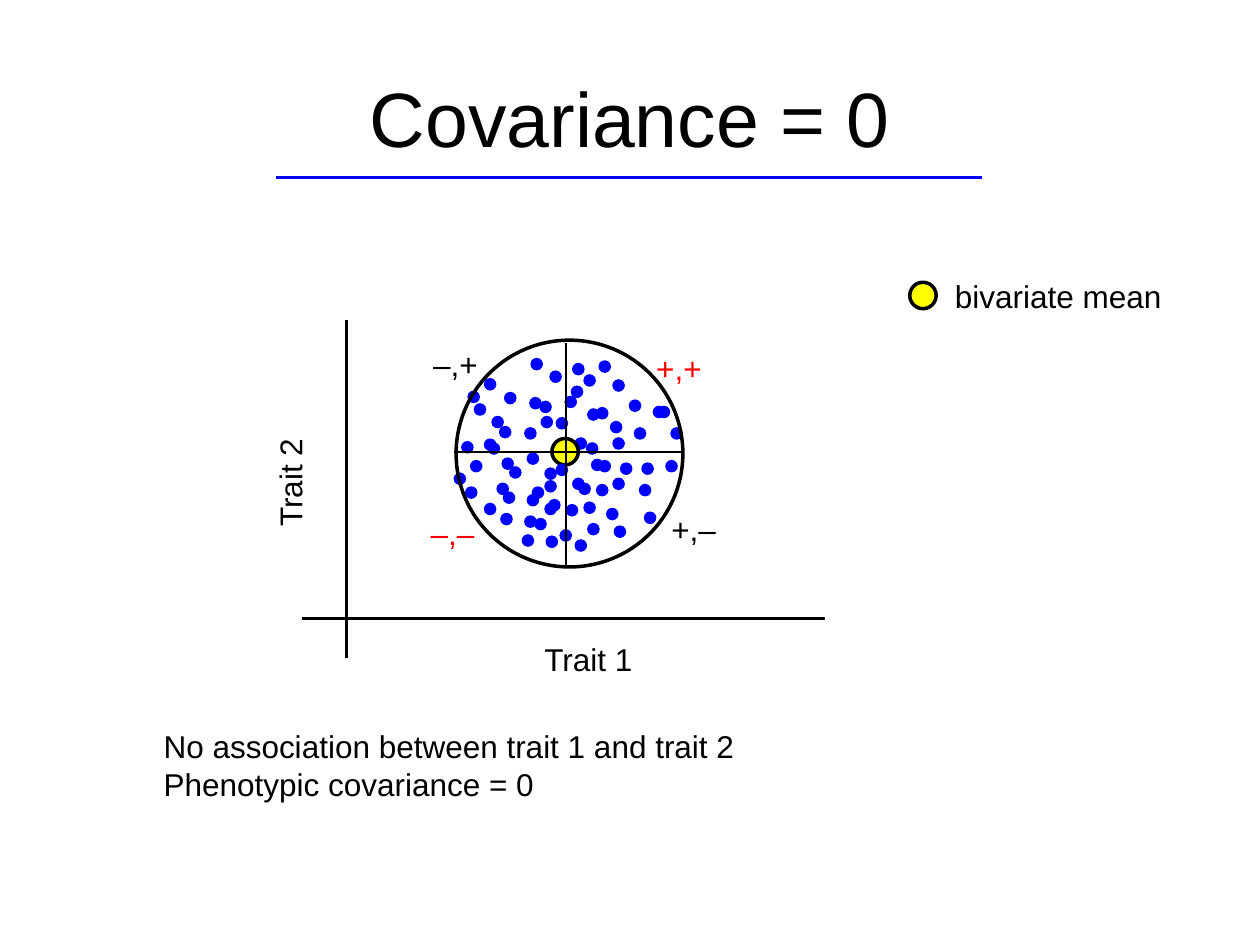
from lxml import etree
from pptx import Presentation
from pptx.dml.color import RGBColor
from pptx.enum.shapes import MSO_CONNECTOR, MSO_SHAPE
from pptx.enum.text import MSO_ANCHOR, MSO_AUTO_SIZE, PP_ALIGN
from pptx.oxml.ns import qn
from pptx.util import Inches, Pt

STRAIGHT = MSO_CONNECTOR.STRAIGHT
OVAL = MSO_SHAPE.OVAL
TOP, MIDDLE = MSO_ANCHOR.TOP, MSO_ANCHOR.MIDDLE
LEFT, CENTER = PP_ALIGN.LEFT, PP_ALIGN.CENTER
FIT_SHAPE = MSO_AUTO_SIZE.SHAPE_TO_FIT_TEXT

FONT = "Arial"
COLORS = {"ink": "000000", "data": "0000FF", "mean": "FFFF00", "positive": "FF0000"}

# The slide is a grid of 100 columns by 75 rows; every length counts its cells.
COLUMNS, ROWS = 100, 75
CELL = Inches(0.1)

DOT_SIZE, MEAN_SIZE, CLOUD_SIZE = 1, 2.1, 18
LABEL_HEIGHT = 4

# Column and row of each observation's top left corner
LOWER_DOTS = [  # under the mean marker
    (39.8, 36.3), (42.2, 38.6), (39.7, 40.7), (43.2, 39.9), (45.6, 34.7),
    (49.2, 36.7), (47.3, 38.4), (42.8, 31.8), (45.4, 28.8), (47.5, 36.5),
    (43.2, 37.1), (48.6, 30.1), (52.2, 32.2), (50.3, 33.9), (36, 37.5),
    (38.4, 39.9), (36.9, 38.6), (41.4, 42.4), (41.8, 35.9), (45.4, 37.9),
    (43.5, 39.6), (39, 33), (43.3, 42.5), (51.1, 40.6), (39.4, 38.3),
    (44.8, 31.4), (48.4, 33.4), (46.5, 35.1), (47.3, 32.3), (46.6, 32.4),
    (48.7, 41.7), (53.2, 33.9), (51.8, 32.2), (46.3, 29.7), (49.9, 31.7),
    (48.6, 34.7),
]
UPPER_DOTS = [  # over the mean marker
    (42, 31.5), (39.6, 33.8), (37.6, 32), (38.4, 34.8), (47.5, 28.6),
    (41.6, 40.9), (39.9, 39), (42.1, 28.4), (44.1, 36.8), (41.8, 39.2),
    (37.3, 36.5), (48.1, 40.3), (50.7, 38.4), (44.4, 42), (43.6, 29.4),
    (38.4, 30), (36.6, 35), (37.1, 31), (41.6, 33.9), (40.4, 37),
    (38.7, 35.1), (45.3, 30.6), (42.9, 33), (44.1, 33.1), (40, 31.1),
    (46.9, 36.4), (44.9, 40), (43.2, 38.1), (46.3, 39.8), (45.9, 38.3),
    (50.9, 36.7), (52.8, 36.5), (42.4, 41.1), (48.6, 37.9), (46.6, 41.5),
    (45.6, 42.8),
]
QUADRANT_SIGNS = [
    ("+,+", 51.1, 27.2, "positive"),
    ("–,–", 33.2, 40.3, "positive"),
    ("+,–", 52.3, 40, "ink"),
    ("–,+", 33.4, 26.9, "ink"),
]


def cells(*counts):
    return [round(count * CELL) for count in counts]


def color(name):
    return RGBColor.from_string(COLORS[name])


def add_text(slide, text, left, top, width, height=LABEL_HEIGHT, *, size=18,
             ink="ink", align=LEFT, anchor=TOP, wrap=False, fit=FIT_SHAPE, rotation=0):
    box = slide.shapes.add_textbox(*cells(left, top, width, height))
    box.rotation = rotation
    frame = box.text_frame
    frame.text = text
    frame.word_wrap = wrap
    frame.auto_size = fit
    frame.vertical_anchor = anchor
    for paragraph in frame.paragraphs:
        paragraph.alignment = align
        font = paragraph.runs[0].font
        font.name, font.size = FONT, Pt(size)
        font.color.rgb = color(ink)


def add_line(slide, start, end, width=2, ink="ink"):
    line = slide.shapes.add_connector(STRAIGHT, *cells(*start, *end))
    line.line.color.rgb = color(ink)
    line.line.width = Pt(width)
    etree.SubElement(line._element.spPr, qn("a:effectLst"))


def add_disc(slide, left, top, size, fill=None, outline=None):
    disc = slide.shapes.add_shape(OVAL, *cells(left, top, size, size))
    disc.shadow.inherit = False
    if fill:
        disc.fill.solid()
        disc.fill.fore_color.rgb = color(fill)
    else:
        disc.fill.background()
    if outline:
        disc.line.color.rgb = color(outline)
        disc.line.width = Pt(2)
    else:
        disc.line.fill.background()


def add_dots(slide, dots):
    for left, top in dots:
        add_disc(slide, left, top, DOT_SIZE, fill="data")


def add_mean_marker(slide, left, top):
    add_disc(slide, left, top, MEAN_SIZE, fill="mean", outline="ink")


def add_title(slide):
    add_text(slide, "Covariance = 0", 5, 3, 90, 12.5, size=44, align=CENTER,
             anchor=MIDDLE, wrap=True, fit=None)
    add_line(slide, (21.9, 14.1), (77.9, 14.1), ink="data")


def add_axes(slide):
    add_line(slide, (27.5, 25.4), (27.5, 52.2))
    add_line(slide, (24, 49.1), (65.5, 49.1))
    add_text(slide, "Trait 1", 33.5, 50.3, 26.4, align=CENTER, wrap=True)
    add_text(slide, "Trait 2", 9.8, 36.3, 26.4, align=CENTER, wrap=True, rotation=270)


def add_legend(slide):
    add_mean_marker(slide, 72.2, 22.4)
    add_text(slide, "bivariate mean", 74.8, 21.5, 18.4)


def add_quadrants(slide):
    add_disc(slide, 36.2, 27, CLOUD_SIZE, outline="ink")
    for signs, left, top, ink in QUADRANT_SIGNS:
        add_text(slide, signs, left, top, 5.6, ink=ink)
    add_line(slide, (44.9, 27.2), (44.9, 44.9), width=1)
    add_line(slide, (36, 35.9), (54.3, 35.9), width=1)


def main():
    deck = Presentation()
    deck.slide_width, deck.slide_height = cells(COLUMNS, ROWS)
    slide = deck.slides.add_slide(deck.slide_layouts[6])
    add_title(slide)
    add_axes(slide)
    add_dots(slide, LOWER_DOTS)
    add_mean_marker(slide, 43.8, 34.8)
    add_dots(slide, UPPER_DOTS)
    add_legend(slide)
    add_quadrants(slide)
    add_text(slide, "No association between trait 1 and trait 2\nPhenotypic covariance = 0",
             12, 57.2, 47.3, 7)
    deck.save("out.pptx")


if __name__ == "__main__":
    main()
